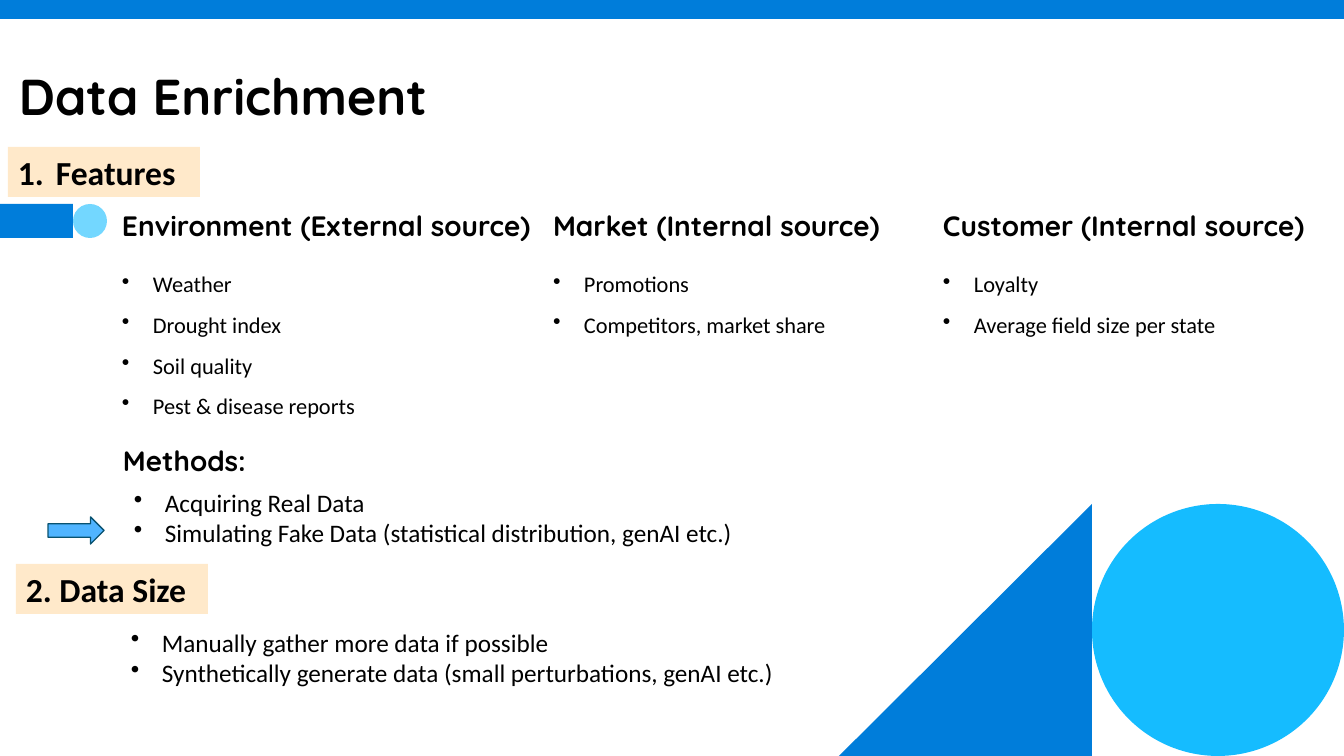
import dataclasses

import pptx
import pptx.dml.color
import pptx.enum.shapes
import pptx.enum.text
import pptx.oxml
import pptx.oxml.ns
import pptx.util

SHAPE = pptx.enum.shapes.MSO_SHAPE
ANCHOR = pptx.enum.text.MSO_ANCHOR
PX = pptx.util.Inches(1) / 100.8


@dataclasses.dataclass(frozen=True)
class Theme:
    blue: str = "007DDA"
    sky: str = "15BCFF"
    pale: str = "73D7FF"
    arrow: str = "50B4FF"
    arrow_edge: str = "095270"
    section: str = "FFE9CA"
    ink: str = "000000"
    heading_font: str = "Quicksand"
    body_font: str = "Calibri"
    title_size: int = 36
    section_size: int = 24
    heading_size: int = 20
    list_size: int = 18
    feature_size: int = 16


THEME = Theme()
BULLET = '<a:buChar %s char="•"/>' % pptx.oxml.ns.nsdecls("a")
NUMBER = '<a:buAutoNum %s type="arabicPeriod"/>' % pptx.oxml.ns.nsdecls("a")

COLUMN_LEFTS = (122, 553, 943)
FEATURES = (
    ("Environment (External source)",
     ("Weather", "Drought index", "Soil quality", "Pest & disease reports")),
    ("Market (Internal source)", ("Promotions", "Competitors, market share")),
    ("Customer (Internal source)", ("Loyalty", "Average field size per state")),
)
METHODS = ("Acquiring Real Data",
           "Simulating Fake Data (statistical distribution, genAI etc.)")
SIZE_STEPS = ("Manually gather more data if possible",
              "Synthetically generate data (small perturbations, genAI etc.)")


def px(length):
    return pptx.util.Emu(round(length * PX))


def rgb(value):
    return pptx.dml.color.RGBColor.from_string(value)


def paint(shape, color):
    """Give a plain fill with neither outline nor shadow."""
    shape.shadow.inherit = False
    shape.fill.solid()
    shape.fill.fore_color.rgb = rgb(color)
    shape.line.fill.background()


def add_block(slide, kind, box, color):
    block = slide.shapes.add_shape(kind, *map(px, box))
    paint(block, color)
    return block


def add_triangle(slide, corners, color):
    builder = slide.shapes.build_freeform(*corners[0], scale=PX)
    builder.add_line_segments(corners[1:], close=True)
    paint(builder.convert_to_shape(), color)


def write(frame, lines, size, font, bold=False, anchor=ANCHOR.TOP):
    frame.word_wrap = True
    frame.vertical_anchor = anchor
    frame.text = "\n".join(lines)
    for paragraph in frame.paragraphs:
        paragraph.alignment = pptx.enum.text.PP_ALIGN.LEFT
        for run in paragraph.runs:
            run.font.size = pptx.util.Pt(size)
            run.font.name = font
            run.font.bold = bold
            run.font.color.rgb = rgb(THEME.ink)


def mark(paragraph, marker, indent):
    """Hang the paragraph behind a bullet or number."""
    properties = paragraph._p.get_or_add_pPr()
    properties.set("marL", str(px(indent)))
    properties.set("indent", str(-px(indent)))
    properties.append(pptx.oxml.parse_xml(marker))


def add_text(slide, box, inset=True):
    frame = slide.shapes.add_textbox(*map(px, box)).text_frame
    if not inset:
        frame.margin_left = frame.margin_right = 0
        frame.margin_top = frame.margin_bottom = 0
    return frame


def add_heading(slide, box, text, size=THEME.heading_size):
    frame = add_text(slide, box, inset=False)
    write(frame, [text], size, THEME.heading_font, True, ANCHOR.BOTTOM)
    frame.paragraphs[0].line_spacing = 0.9


def add_feature_list(slide, box, items):
    frame = add_text(slide, box, inset=False)
    write(frame, items, THEME.feature_size, THEME.body_font)
    for paragraph in frame.paragraphs:
        paragraph.line_spacing = 1.2
        paragraph.space_before = pptx.util.Pt(6)
        mark(paragraph, BULLET, 31)


def add_step_list(slide, box, items):
    frame = add_text(slide, box)
    write(frame, items, THEME.list_size, THEME.body_font)
    for paragraph in frame.paragraphs:
        mark(paragraph, BULLET, 31)


def add_section(slide, left, top, text):
    section = add_block(slide, SHAPE.RECTANGLE, (left, top, 192, 50), THEME.section)
    write(section.text_frame, [text], THEME.section_size, THEME.body_font, True)
    return section.text_frame.paragraphs[0]


def add_decoration(slide):
    add_block(slide, SHAPE.OVAL, (1092, 504, 252, 252), THEME.sky)
    add_triangle(slide, ((1092, 504), (1092, 756), (839, 756)), THEME.blue)
    add_block(slide, SHAPE.RECTANGLE, (0, 0, 1344, 19), THEME.blue)
    add_block(slide, SHAPE.OVAL, (73, 204, 34, 34), THEME.pale)
    add_block(slide, SHAPE.RECTANGLE, (0, 204, 73, 34), THEME.blue)


def add_method_arrow(slide):
    arrow = add_block(slide, SHAPE.RIGHT_ARROW, (48, 517, 56, 27), THEME.arrow)
    arrow.line.color.rgb = rgb(THEME.arrow_edge)
    arrow.line.width = pptx.util.Pt(1)


def main():
    deck = pptx.Presentation()
    deck.slide_width, deck.slide_height = px(1344), px(756)
    slide = deck.slides.add_slide(deck.slide_layouts[6])

    add_decoration(slide)
    add_heading(slide, (19, 0, 938, 126), "Data Enrichment", THEME.title_size)

    mark(add_section(slide, 8, 147, "Features"), NUMBER, 38)
    for left, (heading, items) in zip(COLUMN_LEFTS, FEATURES):
        add_heading(slide, (left, 208, 420, 35), heading)
        add_feature_list(slide, (left, 265, 328, 101), items)

    add_heading(slide, (123, 444, 440, 34), "Methods:")
    add_step_list(slide, (124, 482, 715, 72), METHODS)
    add_method_arrow(slide)

    add_section(slide, 16, 564, "2. Data Size")
    add_step_list(slide, (121, 622, 729, 72), SIZE_STEPS)

    deck.save("out.pptx")


if __name__ == "__main__":
    main()
